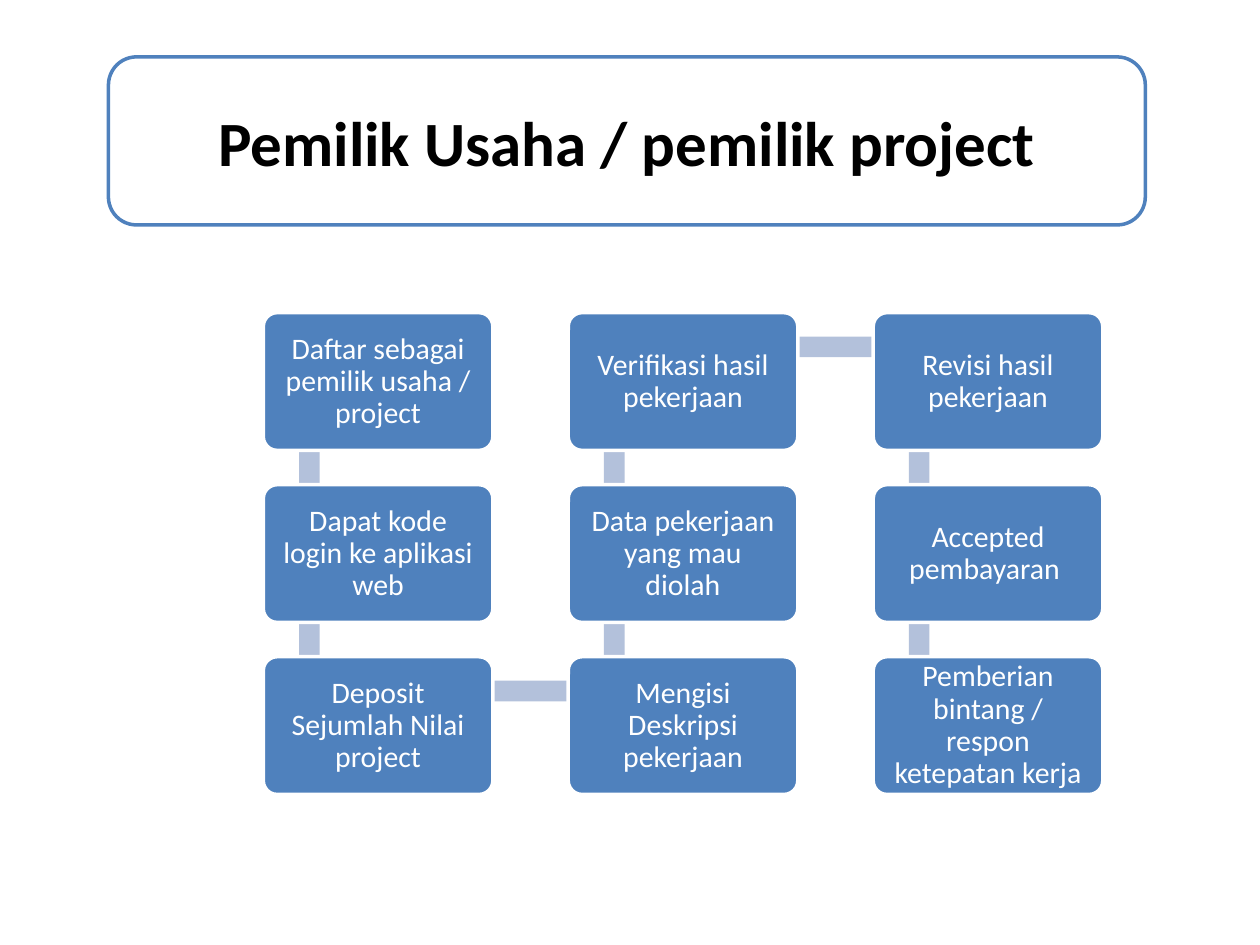
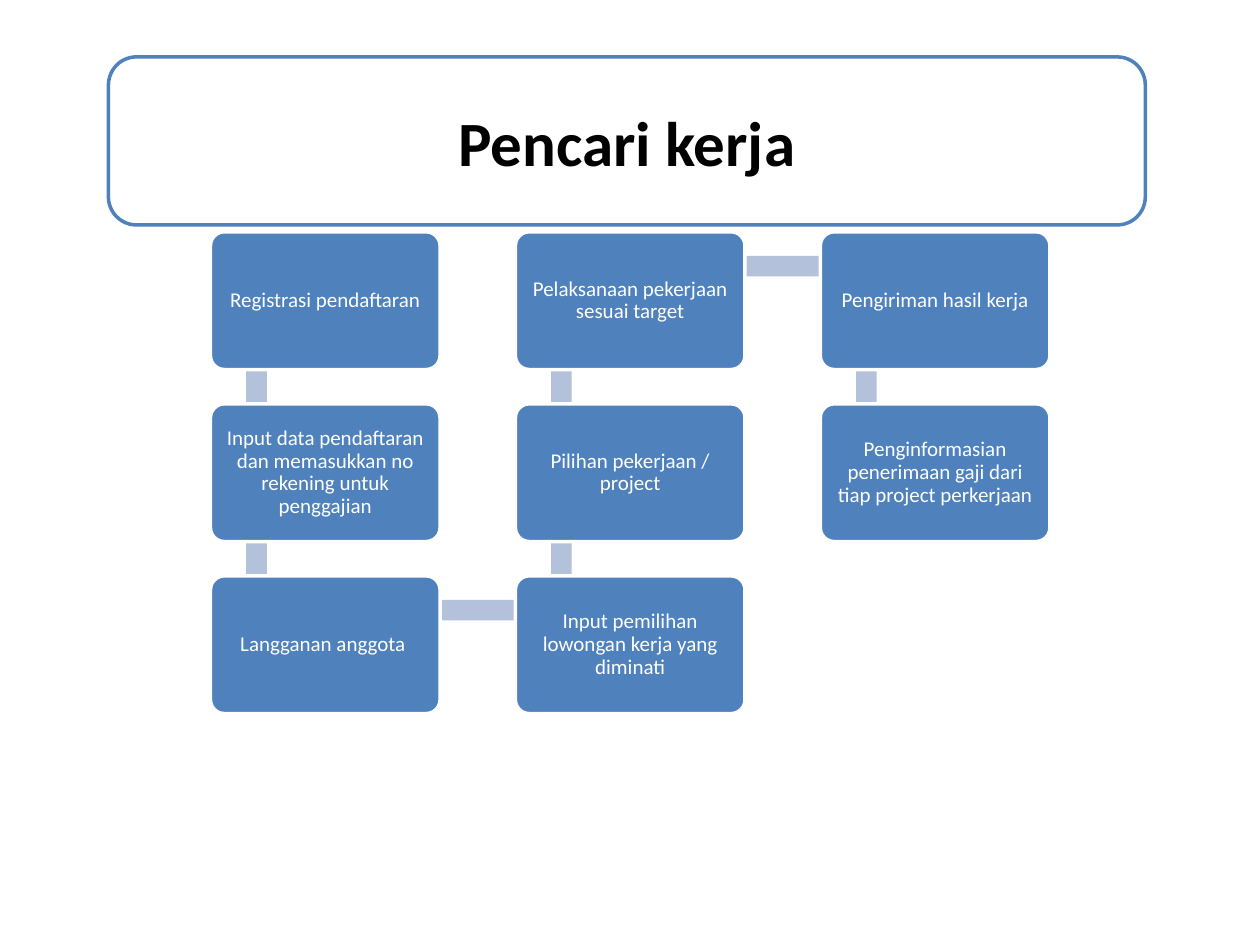
"""Build two slides, each with a framed title and a snaking chain of steps."""
from pptx import Presentation
from pptx.dml.color import RGBColor
from pptx.enum.shapes import MSO_SHAPE as Shape
from pptx.enum.text import MSO_ANCHOR as Anchor, PP_ALIGN as Align
from pptx.util import Pt

BLUE = RGBColor(0x4F, 0x81, 0xBD)
PALE_BLUE = RGBColor(0xB3, 0xC1, 0xDB)
WHITE = RGBColor(0xFF, 0xFF, 0xFF)
BLACK = RGBColor(0x00, 0x00, 0x00)
FONT = "Calibri"

ROWS = 3
BOX_WIDTH, BOX_HEIGHT = 131.2, 78.7
COLUMN_PITCH, ROW_PITCH = 174.25, 98.3
BAR_THICKNESS = 11.8

FLOWS = [
    {
        "title": "Pemilik Usaha / pemilik project",
        "origin": (150.5, 178.7),
        "size": 17,
        "margin": 7.2,
        "steps": [
            "Daftar sebagai pemilik usaha / project",
            "Dapat kode login ke aplikasi web",
            "Deposit Sejumlah Nilai project",
            "Mengisi Deskripsi pekerjaan",
            "Data pekerjaan yang mau diolah",
            "Verifikasi hasil pekerjaan",
            "Revisi hasil pekerjaan",
            "Accepted pembayaran ",
            "Pemberian bintang / respon ketepatan kerja",
        ],
    },
    {
        "title": "Pencari kerja",
        "origin": (120.3, 132.5),
        "size": 12,
        "margin": 5.7,
        "steps": [
            "Registrasi pendaftaran",
            "Input data pendaftaran dan memasukkan no rekening untuk penggajian",
            "Langganan anggota ",
            "Input pemilihan lowongan kerja yang diminati",
            "Pilihan pekerjaan / project",
            "Pelaksanaan pekerjaan sesuai target",
            "Pengiriman hasil kerja",
            "Penginformasian penerimaan gaji dari tiap project perkerjaan",
        ],
    },
]


def add_block(slide, kind, box, fill, line=None):
    shape = slide.shapes.add_shape(kind, *map(Pt, box))
    shape.shadow.inherit = False
    shape.fill.solid()
    shape.fill.fore_color.rgb = fill
    if line is None:
        shape.line.fill.background()
    else:
        shape.line.color.rgb = line
        shape.line.width = Pt(2)
    return shape


def write_text(shape, text, color, spacing=1.0, **font_format):
    frame = shape.text_frame
    frame.word_wrap = True
    frame.vertical_anchor = Anchor.MIDDLE
    paragraph = frame.paragraphs[0]
    paragraph.alignment = Align.CENTER
    paragraph.line_spacing = spacing
    run = paragraph.add_run()
    run.text = text
    run.font.color.rgb = color
    for name, value in {"name": FONT, **font_format}.items():
        setattr(run.font, name, value)


def add_title(slide, text):
    frame = add_block(slide, Shape.ROUNDED_RECTANGLE, (62, 32.5, 592.5, 96), WHITE, BLUE)
    write_text(frame, text, BLACK, size=Pt(36), bold=True)


def step_position(index, origin):
    column, row = divmod(index, ROWS)
    if column % 2:
        row = ROWS - 1 - row
    return origin[0] + column * COLUMN_PITCH, origin[1] + row * ROW_PITCH


def add_bar(slide, start, end):
    left, top = min(start[0], end[0]), min(start[1], end[1])
    if start[0] == end[0]:
        box = (left + 20.4, top + 19.6, BAR_THICKNESS, ROW_PITCH - 1)
    else:
        box = (left + 26.6, top + 13.7, COLUMN_PITCH - 1, BAR_THICKNESS)
    add_block(slide, Shape.RECTANGLE, box, PALE_BLUE)


def add_step(slide, position, text, size, margin):
    box = (*position, BOX_WIDTH, BOX_HEIGHT)
    step = add_block(slide, Shape.ROUNDED_RECTANGLE, box, BLUE, WHITE)
    step.adjustments[0] = 0.1
    for side in ("left", "right", "top", "bottom"):
        setattr(step.text_frame, f"margin_{side}", Pt(margin))
    write_text(step, text, WHITE, spacing=0.9, size=Pt(size))


def add_flow(slide, flow):
    add_title(slide, flow["title"])
    steps = flow["steps"]
    positions = [step_position(index, flow["origin"]) for index in range(len(steps))]
    for start, end in zip(positions, positions[1:]):
        add_bar(slide, start, end)
    for position, text in zip(positions, steps):
        add_step(slide, position, text, flow["size"], flow["margin"])


def main():
    presentation = Presentation()
    presentation.slide_width, presentation.slide_height = Pt(720), Pt(540)
    for flow in FLOWS:
        add_flow(presentation.slides.add_slide(presentation.slide_layouts[6]), flow)
    presentation.save("out.pptx")


if __name__ == "__main__":
    main()
